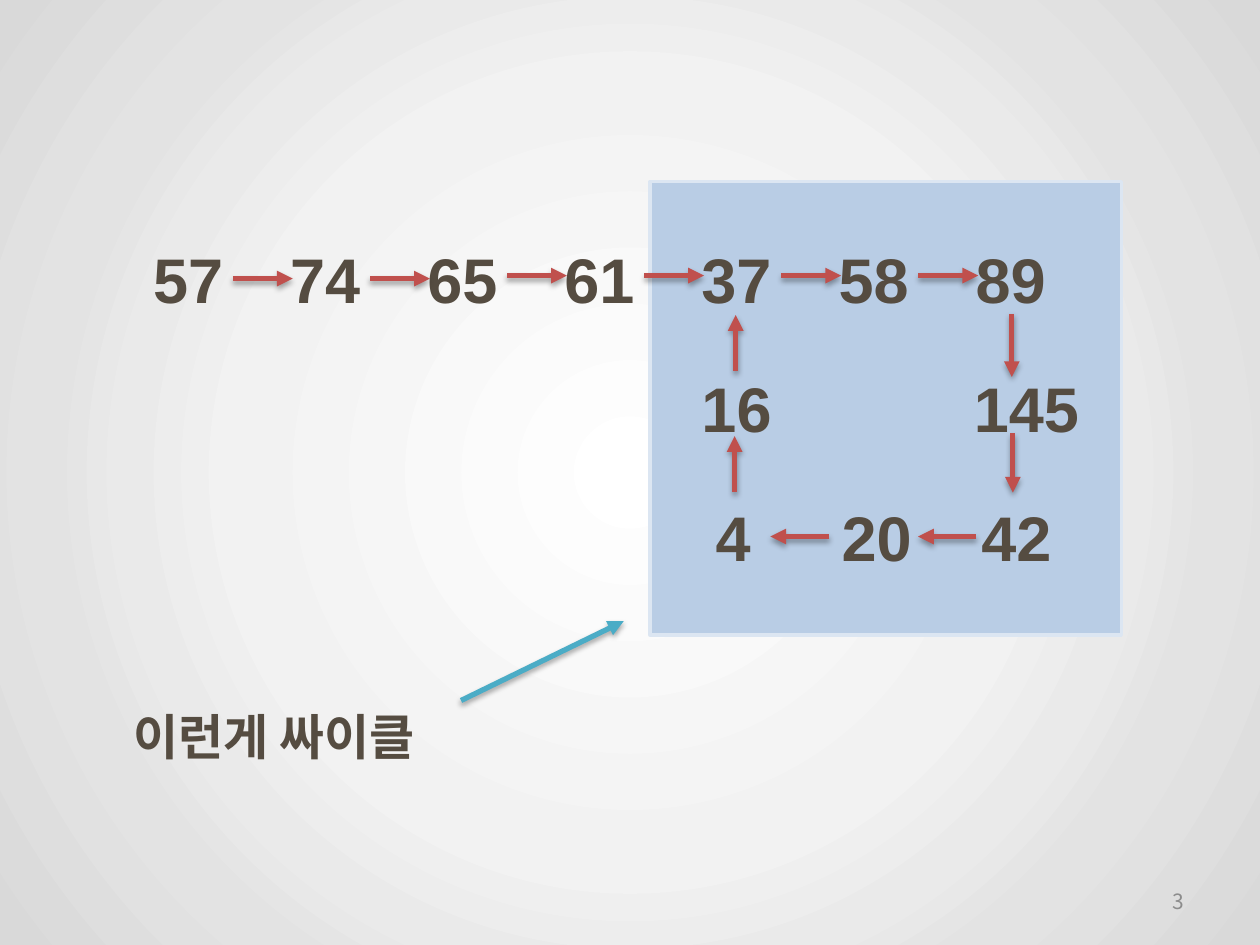
"""Build a slide showing a number chain that runs into a cycle."""
from lxml.etree import SubElement
from pptx import Presentation
from pptx.dml.color import RGBColor
from pptx.enum.shapes import MSO_CONNECTOR, MSO_SHAPE
from pptx.enum.text import MSO_ANCHOR, MSO_AUTO_SIZE, PP_ALIGN
from pptx.oxml import parse_xml
from pptx.oxml.ns import nsdecls, qn
from pptx.util import Pt

BROWN = RGBColor(0x55, 0x4C, 0x41)
GRAY = RGBColor(0x8C, 0x8C, 0x8C)
RED = RGBColor(0xC0, 0x50, 0x4D)
TEAL = RGBColor(0x4B, 0xAC, 0xC6)
BLUE = RGBColor(0xB9, 0xCD, 0xE5)
PALE = RGBColor(0xDC, 0xE6, 0xF2)
STOPS = [
    (0, RGBColor(0xFF, 0xFF, 0xFF)),
    (50, RGBColor(0xF2, 0xF2, 0xF2)),
    (64, RGBColor(0xEA, 0xEA, 0xEA)),
    (74, RGBColor(0xE3, 0xE3, 0xE3)),
    (100, RGBColor(0xD9, 0xD9, 0xD9)),
]
STEP = 78.34
SANS = "Noto Sans CJK KR"


def add_text(s, text, x, y, w, h, size, color=BROWN, font="Arial", bold=True):
    sp = s.shapes.add_textbox(Pt(x), Pt(y), Pt(w), Pt(h))
    tf = sp.text_frame
    tf.word_wrap = True
    tf.auto_size = MSO_AUTO_SIZE.SHAPE_TO_FIT_TEXT
    r = tf.paragraphs[0].add_run()
    r.text = text
    r.font.size = Pt(size)
    r.font.bold = bold
    r.font.name = font
    r.font.color.rgb = color
    SubElement(r.font._element, qn("a:ea"), typeface=SANS)
    return tf


def add_arrow(s, x1, y1, x2, y2, color=RED):
    c = s.shapes.add_connector(MSO_CONNECTOR.STRAIGHT, Pt(x1), Pt(y1), Pt(x2), Pt(y2))
    c.line.color.rgb = color
    c.line.width = Pt(3)
    SubElement(c.line._get_or_add_ln(), qn("a:tailEnd"), type="triangle")
    c._element.spPr.append(parse_xml(
        f'<a:effectLst {nsdecls("a")}><a:outerShdw blurRad="{Pt(3.15)}" dist="{Pt(1.8)}" '
        'dir="5400000" rotWithShape="0"><a:srgbClr val="000000"><a:alpha val="35000"/>'
        '</a:srgbClr></a:outerShdw></a:effectLst>'))


prs = Presentation()
prs.slide_width, prs.slide_height = Pt(720), Pt(540)
s = prs.slides.add_slide(prs.slide_layouts[6])

s.background.fill.gradient()
grad = s.background._cSld.find(".//" + qn("a:gradFill"))
for child in list(grad):
    grad.remove(child)
gs_lst = SubElement(grad, qn("a:gsLst"))
for pos, color in STOPS:
    gs = SubElement(gs_lst, qn("a:gs"), pos=str(pos * 1000))
    SubElement(gs, qn("a:srgbClr"), val=str(color))
circle = SubElement(grad, qn("a:path"), path="circle")
SubElement(circle, qn("a:fillToRect"), l="50000", t="50000", r="50000", b="50000")

sp = s.shapes.add_shape(MSO_SHAPE.RECTANGLE, Pt(371.5), Pt(103.7), Pt(269.3), Pt(259.2))
sp.shadow.inherit = False
sp.fill.solid()
sp.fill.fore_color.rgb = BLUE
sp.line.color.rgb = PALE
sp.line.width = Pt(2)

tf = add_text(s, "3", 516.2, 500.4, 167.8, 28.8, 12, GRAY, SANS, False)
tf.auto_size = MSO_AUTO_SIZE.NONE
tf.vertical_anchor = MSO_ANCHOR.MIDDLE
tf.paragraphs[0].alignment = PP_ALIGN.RIGHT

for i, number in enumerate(["57", "74", "65", "61", "37", "58", "89"]):
    add_text(s, number, 80.4 + i * STEP, 133.9, 105, 51, 36)
for number, x, y, w in [
    ("16", 393.8, 207.4, 105),
    ("145", 549.4, 207.4, 145),
    ("4", 401.8, 281.5, 105),
    ("20", 473.8, 281.5, 105),
    ("42", 553.7, 281.5, 105),
]:
    add_text(s, number, x, y, w, 51, 36)

for i in range(6):
    x, y = 133.1 + i * STEP, 159.2 if i < 2 else 157.5
    add_arrow(s, x, y, x + 34.2, y)
for ends in [
    (578.2, 179.3, 578.2, 215.5),
    (578.8, 247.6, 578.8, 281.5),
    (557.8, 306.6, 524.6, 306.6),
    (473.8, 306.6, 440.2, 306.6),
    (419.8, 281.3, 419.8, 249.2),
    (420.4, 212, 420.4, 180),
]:
    add_arrow(s, *ends)

add_arrow(s, 263.5, 400.3, 356.4, 355, TEAL)
add_text(s, "이런게 싸이클", 69.1, 400.3, 194.4, 41, 28)

prs.save("out.pptx")
